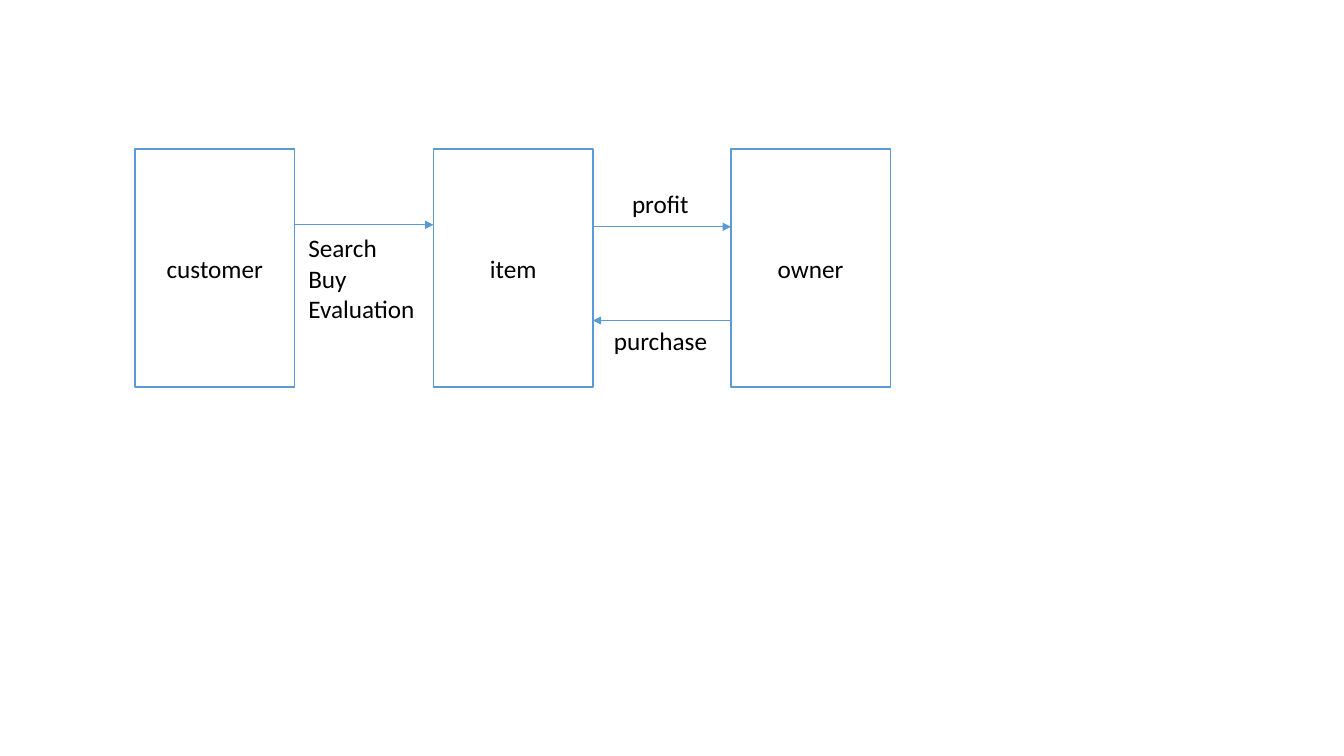
import pptx
import pptx.dml.color
import pptx.enum.dml
import pptx.enum.shapes
import pptx.enum.text
import pptx.oxml
import pptx.oxml.ns
import pptx.util

Inches = pptx.util.Inches
Pt = pptx.util.Pt
RGBColor = pptx.dml.color.RGBColor
MSO_SHAPE = pptx.enum.shapes.MSO_SHAPE
MSO_CONNECTOR = pptx.enum.shapes.MSO_CONNECTOR
MSO_ANCHOR = pptx.enum.text.MSO_ANCHOR
MSO_AUTO_SIZE = pptx.enum.text.MSO_AUTO_SIZE
PP_ALIGN = pptx.enum.text.PP_ALIGN

BLUE = RGBColor(0x5B, 0x9B, 0xD5)
WHITE = RGBColor(0xFF, 0xFF, 0xFF)
BLACK = RGBColor(0, 0, 0)
FONT = {"name": "Calibri", "size": Pt(18)}

BOX_TOP, BOX_W, BOX_H = 1.48, 1.58, 2.36
BOX_LEFT = {"customer": 1.34, "item": 4.3, "owner": 7.25}


def write(tf, lines, align):
    for i, line in enumerate(lines):
        p = tf.paragraphs[0] if i == 0 else tf.add_paragraph()
        p.alignment = align
        r = p.add_run()
        r.text = line
        for name, value in FONT.items():
            setattr(r.font, name, value)
        r.font.color.rgb = BLACK


prs = pptx.Presentation()
prs.slide_width, prs.slide_height = Inches(13.33), Inches(7.5)
s = prs.slides.add_slide(prs.slide_layouts[6])
diagram = s.shapes.add_group_shape().shapes

# Entity boxes
for name, left in BOX_LEFT.items():
    sp = diagram.add_shape(MSO_SHAPE.RECTANGLE, Inches(left), Inches(BOX_TOP),
                           Inches(BOX_W), Inches(BOX_H))
    sp.shadow.inherit = False
    sp.fill.solid()
    sp.fill.fore_color.rgb = WHITE
    sp.line.color.rgb = BLUE
    sp.line.width = Pt(1)
    sp.text_frame.vertical_anchor = MSO_ANCHOR.MIDDLE
    write(sp.text_frame, [name], PP_ALIGN.CENTER)

# Arrows between facing box edges
for start, end, y in [("customer", "item", 2.23),
                      ("item", "owner", 2.25),
                      ("owner", "item", 3.18)]:
    x1, x2 = BOX_LEFT[start], BOX_LEFT[end]
    if x1 < x2:
        x1 += BOX_W
    else:
        x2 += BOX_W
    sp = diagram.add_connector(MSO_CONNECTOR.STRAIGHT, Inches(x1), Inches(y),
                               Inches(x2), Inches(y))
    sp.line.color.rgb = BLUE
    sp.line.width = Pt(0.5)
    tail = pptx.oxml.parse_xml(
        "<a:tailEnd %s type='triangle'/>" % pptx.oxml.ns.nsdecls("a"))
    sp.line._get_or_add_ln().append(tail)
    effects = pptx.oxml.parse_xml(
        "<a:effectLst %s/>" % pptx.oxml.ns.nsdecls("a"))
    sp._element.spPr.append(effects)

# Arrow labels
for lines, left, top, width, height in [
        (["Search", "Buy", "Evaluation"], 2.96, 2.26, 1.3, 1.31),
        (["profit"], 6.17, 1.82, 0.79, 0.4),
        (["purchase"], 5.99, 3.18, 1.15, 0.4)]:
    sp = diagram.add_textbox(Inches(left), Inches(top), Inches(width), Inches(height))
    tf = sp.text_frame
    for name, value in {"word_wrap": False,
                        "auto_size": MSO_AUTO_SIZE.SHAPE_TO_FIT_TEXT}.items():
        setattr(tf, name, value)
    write(tf, lines, PP_ALIGN.LEFT)

prs.save("out.pptx")
